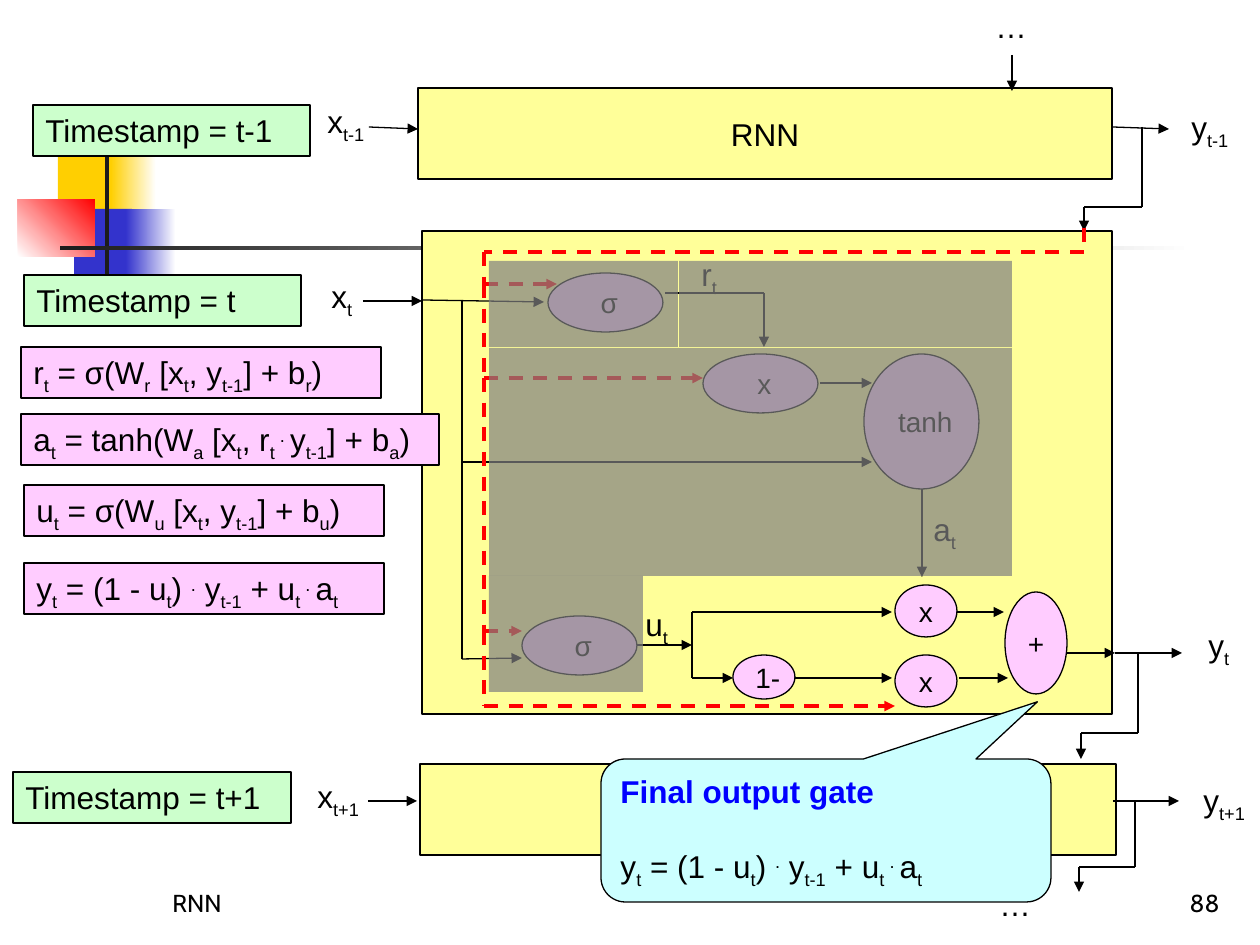
"""Build the slide that explains the final output gate of a gated recurrent unit."""
from itertools import pairwise

from pptx import Presentation
from pptx import util as u
from pptx.dml.color import RGBColor
from pptx.enum import dml, shapes, text
from pptx.oxml.ns import qn
from pptx.oxml.xmlchemy import OxmlElement

PX_PER_INCH = 126
BLACK, RED, BLUE, WHITE = "000000", "FF0000", "0000FF", "FFFFFF"
YELLOW, GREEN, PINK, CYAN, GREY = "FFFF99", "CCFFCC", "FFCCFF", "CCFFFF", "808080"
GOLD, NAVY, DARK = "FFCF01", "3333CC", "1C1C1C"
BASELINES = {"_": "-25000", "^": "30000"}

# In all texts "|" starts a new run; a leading "_" lowers the run and "^" raises it.
OUTPUT = "y|_t| = (1 - u|_t|) |^.| y|_t-1| + u|_t |^. |a|_t"
DECOR = [
    ((58, 151, 60, 66), [GOLD], 0),
    ((111, 151, 45, 66), [GOLD, WHITE], 0),
    ((74, 209, 58, 66), [NAVY], 0),
    ((126, 209, 50, 66), [NAVY, WHITE], 0),
    ((18, 199, 77, 58), [WHITE, RED], 45),
    ((105, 136, 4, 145), [DARK], 0),
    ((60, 246, 1134, 4), [DARK, WHITE], 0),
]
FOOTERS = [("RNN", 160, "LEFT"), ("88", 970, "RIGHT")]
PANELS = [
    ("", (422, 231, 690, 483)),
    ("RNN", (418, 88, 694, 91)),
    ("", (420, 764, 696, 91)),
]
ARROWS = [
    [(363, 301), (422, 301)],
    [(1115, 653), (1182, 653)],
    [(369, 127), (418, 129)],
    [(1113, 127), (1169, 129)],
    [(1012, 55), (1012, 91)],
    [(368, 801), (417, 801)],
    [(1113, 801), (1179, 801)],
    [(1142, 127), (1142, 207), (1084, 207), (1084, 231)],
    [(1138, 654), (1138, 733), (1081, 733), (1081, 759)],
    [(1135, 801), (1135, 867), (1079, 867), (1079, 892)],
    [(422, 300), (544, 302)],
    [(665, 293), (764, 293), (764, 347)],
    [(462, 300), (462, 462), (872, 462)],
    [(462, 462), (462, 659), (522, 658)],
    [(820, 383), (872, 383)],
    [(922, 488), (922, 577)],
    [(635, 645), (692, 645)],
    [(692, 645), (692, 612), (892, 612)],
    [(692, 645), (692, 678), (733, 678)],
    [(795, 678), (892, 678)],
    [(956, 612), (1004, 612)],
    [(959, 678), (1008, 678)],
    [(1067, 653), (1115, 653)],
]
FEEDBACK = [
    [(1084, 228), (1084, 252), (484, 252), (484, 284), (557, 284)],
    [(484, 284), (484, 378), (703, 378)],
    [(484, 378), (484, 631), (522, 631)],
    [(484, 631), (484, 706), (895, 706)],
]
GATES = [
    (" σ", (548, 273, 115, 59)),
    (" x", (703, 354, 115, 59)),
    (" tanh", (864, 354, 115, 135)),
    (" σ", (522, 616, 115, 59)),
    (" 1-", (733, 655, 62, 44)),
    ("x", (895, 585, 62, 52)),
    ("x", (895, 655, 62, 52)),
    ("+", (1005, 592, 62, 102)),
]
LABELS = [
    ("x|_t", (319, 271, 48, 50)),
    ("y|_t", (1196, 620, 48, 50)),
    ("x|_t-1", (315, 96, 66, 50)),
    ("y|_t-1", (1179, 102, 66, 50)),
    ("…", (983, 1, 57, 50)),
    ("x|_t+1", (305, 771, 72, 50)),
    ("y|_t+1", (1191, 775, 72, 50)),
    ("…", (987, 879, 57, 50)),
    ("r|_t", (689, 249, 42, 42)),
    ("a|_t", (921, 504, 49, 50)),
    ("u|_t", (633, 599, 60, 50)),
]
SHADES = [
    (489, 261, 189, 86),
    (679, 261, 333, 86),
    (489, 348, 523, 228),
    (489, 576, 154, 116),
]
TAGS = [
    ("Timestamp = t-1", (33, 105, 277, 51), GREEN),
    ("Timestamp = t", (24, 275, 277, 51), GREEN),
    ("Timestamp = t+1", (13, 772, 278, 51), GREEN),
    ("r|_t| = σ(W|_r| [x|_t|, y|_t-1|] + b|_r|)", (21, 347, 360, 51), PINK),
    ("a|_t| = tanh(W|_a| [x|_t|, r|_t |^. |y|_t-1|] + b|_a|)", (21, 414, 418, 51), PINK),
    ("u|_t| = σ(W|_u| [x|_t|, y|_t-1|] + b|_u|)", (24, 485, 360, 51), PINK),
    (OUTPUT, (24, 563, 360, 51), PINK),
]
CALLOUT = (601, 759, 450, 143)
CALLOUT_SHAPE = (0.47, -0.9, 0.17)


def px(count):
    return u.Emu(round(count * u.Inches(1) / PX_PER_INCH))


def rgb(code):
    return RGBColor.from_string(code)


def write(para, marked, size=18, color=BLACK, font="Arial", bold=False, align="LEFT"):
    para.alignment = getattr(text.PP_ALIGN, align)
    for part in marked.split("|"):
        span = para.add_run()
        span.text = part.lstrip("_^")
        span.font.size, span.font.name, span.font.bold = u.Pt(size), font, bold
        span.font.color.rgb = rgb(color)
        if part[:1] in BASELINES:
            span._r.get_or_add_rPr().set("baseline", BASELINES[part[0]])


def add_box(page, frame, fill, kind="RECTANGLE", outlined=True):
    box = page.shapes.add_shape(getattr(shapes.MSO_SHAPE, kind), *map(px, frame))
    box.shadow.inherit = False
    box.fill.solid()
    box.fill.fore_color.rgb = rgb(fill)
    if outlined:
        box.line.color.rgb, box.line.width = rgb(BLACK), u.Pt(0.75)
    else:
        box.line.fill.background()
    box.text_frame.vertical_anchor = text.MSO_ANCHOR.TOP
    return box


def add_centred(page, caption, frame, fill, kind, size):
    body = add_box(page, frame, fill, kind).text_frame
    body.word_wrap, body.vertical_anchor = False, text.MSO_ANCHOR.MIDDLE
    if caption:
        write(body.paragraphs[0], caption, size, align="CENTER")


def add_path(page, points, color, width, dashed=False):
    for start, end in pairwise(points):
        line = page.shapes.add_connector(shapes.MSO_CONNECTOR.STRAIGHT, *map(px, start + end))
        line.line.color.rgb, line.line.width = rgb(color), u.Pt(width)
        if dashed:
            line.line.dash_style = dml.MSO_LINE.DASH
        if end == points[-1]:
            head = OxmlElement("a:tailEnd")
            head.set("type", "triangle")
            line.line._get_or_add_ln().append(head)
        line._element.spPr.append(OxmlElement("a:effectLst"))


def main():
    deck = Presentation()
    deck.slide_width, deck.slide_height = u.Inches(10), u.Inches(7.5)
    page = deck.slides.add_slide(deck.slide_layouts[6])

    for frame, colors, angle in DECOR:
        box = add_box(page, frame, colors[0], outlined=False)
        if len(colors) > 1:
            box.fill.gradient()
            box.fill.gradient_angle = angle
            for stop, color in zip(box.fill.gradient_stops, colors):
                stop.color.rgb = rgb(color)
    for caption, left, align in FOOTERS:
        body = page.shapes.add_textbox(*map(px, (left, 861, 262, 63))).text_frame
        body.word_wrap, body.vertical_anchor = True, text.MSO_ANCHOR.BOTTOM
        write(body.paragraphs[0], caption, 14, font="Cabin", align=align)
    for caption, frame in PANELS:
        add_centred(page, caption, frame, YELLOW, "RECTANGLE", 18)
    for points in ARROWS:
        add_path(page, points, BLACK, 0.75)
    for points in FEEDBACK[:-1]:
        add_path(page, points, RED, 2, dashed=True)
    for caption, frame in GATES:
        add_centred(page, caption, frame, PINK, "OVAL", 16)
    for caption, frame in LABELS:
        body = page.shapes.add_textbox(*map(px, frame)).text_frame
        body.word_wrap = False
        write(body.paragraphs[0], caption)
    for frame in SHADES:
        shade = add_box(page, frame, GREY, outlined=False)
        alpha = OxmlElement("a:alpha")
        alpha.set("val", "70000")
        shade._element.spPr.find(qn("a:solidFill"))[0].append(alpha)

    callout = add_box(page, CALLOUT, CYAN, "ROUNDED_RECTANGULAR_CALLOUT")
    for index, value in enumerate(CALLOUT_SHAPE):
        callout.adjustments[index] = value
    body = callout.text_frame
    write(body.paragraphs[0], "Final output gate", color=BLUE, bold=True)
    formula = body.add_paragraph()
    formula.space_before = u.Pt(21)
    write(formula, OUTPUT)

    add_path(page, FEEDBACK[-1], RED, 2, dashed=True)
    for caption, frame, fill in TAGS:
        write(add_box(page, frame, fill).text_frame.paragraphs[0], caption)
    deck.save("out.pptx")


if __name__ == "__main__":
    main()
